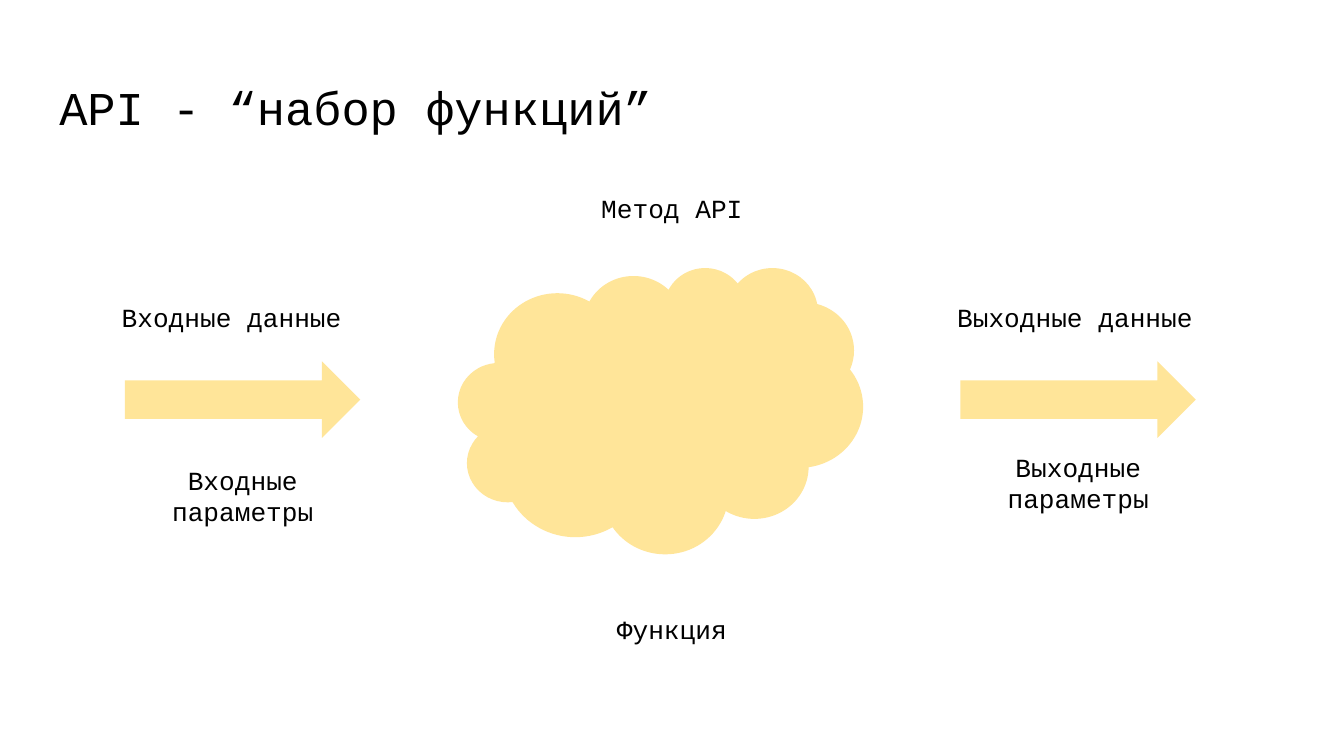
from pptx import Presentation
from pptx.dml.color import RGBColor
from pptx.enum.shapes import MSO_SHAPE
from pptx.enum.text import MSO_ANCHOR, MSO_AUTO_SIZE, PP_ALIGN
from pptx.util import Cm, Pt

ARROW = MSO_SHAPE.RIGHT_ARROW
CLOUD = MSO_SHAPE.CLOUD
TOP = MSO_ANCHOR.TOP
NO_FIT = MSO_AUTO_SIZE.NONE
LEFT = PP_ALIGN.LEFT
CENTER = PP_ALIGN.CENTER

BLACK = RGBColor(0x00, 0x00, 0x00)
SAND = RGBColor(0xFF, 0xE5, 0x99)

TITLE_ONLY = 5
LABEL_WIDTH = 5.08


class SlideBuilder:
    font_name = "Courier New"
    title_size = Pt(25.2)
    label_size = Pt(14)
    inset = Cm(0.25)

    def __init__(self, presentation):
        self.slide = presentation.slides.add_slide(
            presentation.slide_layouts[TITLE_ONLY])

    def set_text(self, frame, text, size, align):
        frame.word_wrap = True
        frame.auto_size = NO_FIT
        frame.vertical_anchor = TOP
        frame.margin_left = frame.margin_right = self.inset
        frame.margin_top = frame.margin_bottom = self.inset
        frame.text = text
        paragraph = frame.paragraphs[0]
        paragraph.alignment = align
        paragraph.font.name = self.font_name
        paragraph.font.size = size
        paragraph.font.color.rgb = BLACK

    def title(self, text, left, top, width, height):
        heading = self.slide.shapes.title
        heading.left, heading.top = Cm(left), Cm(top)
        heading.width, heading.height = Cm(width), Cm(height)
        self.set_text(heading.text_frame, text, self.title_size, LEFT)

    def label(self, text, left, top, height=1.12, align=CENTER):
        caption = self.slide.shapes.add_textbox(
            Cm(left), Cm(top), Cm(LABEL_WIDTH), Cm(height))
        self.set_text(caption.text_frame, text, self.label_size, align)

    def figure(self, kind, left, top, width, height):
        figure = self.slide.shapes.add_shape(
            kind, Cm(left), Cm(top), Cm(width), Cm(height))
        figure.shadow.inherit = False
        figure.fill.solid()
        figure.fill.fore_color.rgb = SAND
        figure.line.fill.background()


def main():
    presentation = Presentation()
    presentation.slide_width = Cm(25.4)
    presentation.slide_height = Cm(14.29)

    builder = SlideBuilder(presentation)
    builder.title("API - “набор функций”", 0.87, 1.24, 23.67, 1.6)
    builder.figure(CLOUD, 8.66, 5.05, 7.65, 5.41)

    flows = (
        ("Входные", 2.05, 8.53),
        ("Выходные", 17.84, 8.28),
    )
    for direction, left, parameters_top in flows:
        builder.figure(ARROW, left + 0.31, 6.83, 4.45, 1.45)
        builder.label(f"{direction} данные", left, 5.44, align=LEFT)
        builder.label(f"{direction} параметры", left, parameters_top, 1.7)

    for name, top in (("Метод API", 3.38), ("Функция", 11.35)):
        builder.label(name, 10.16, top)

    presentation.save("out.pptx")


if __name__ == "__main__":
    main()
